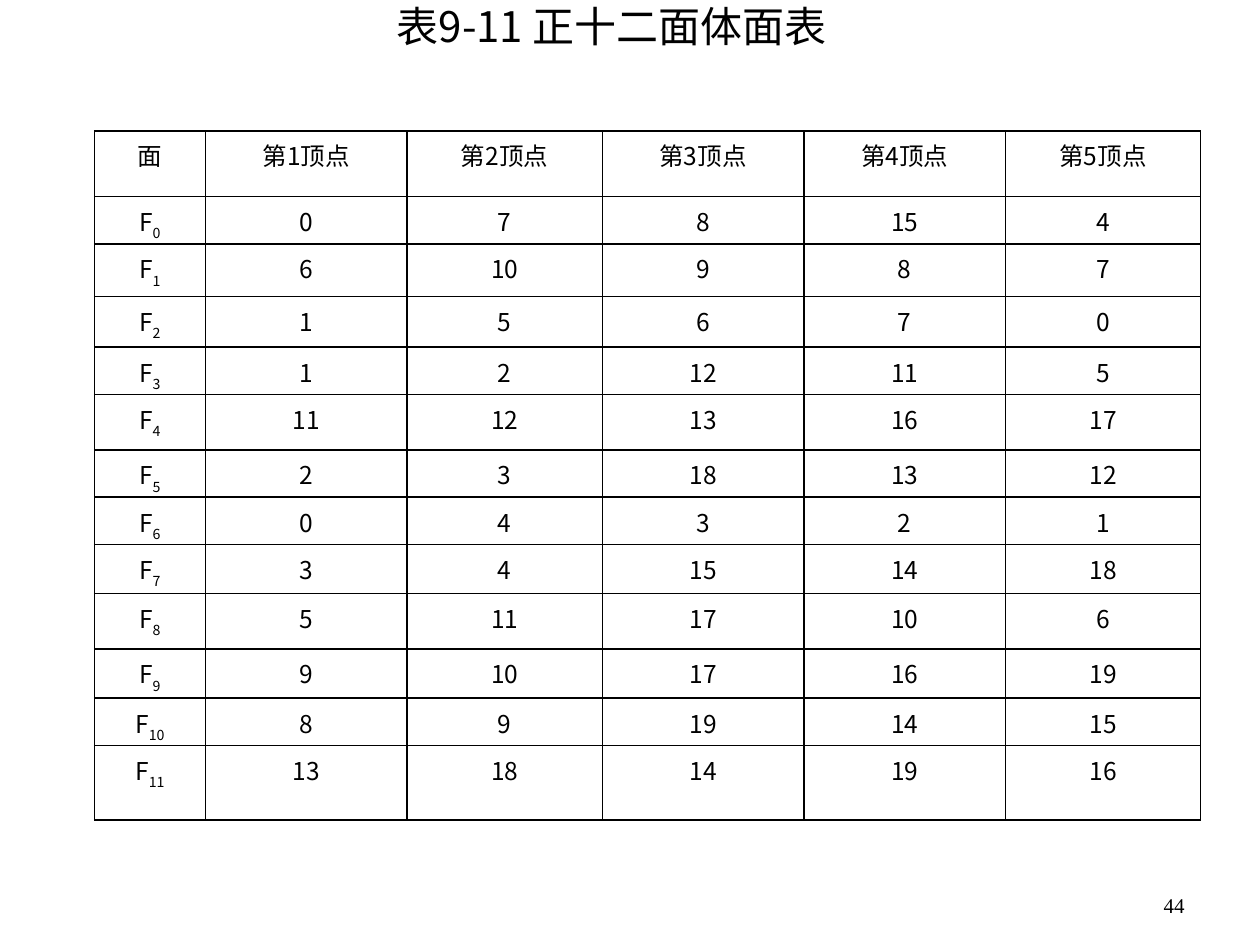
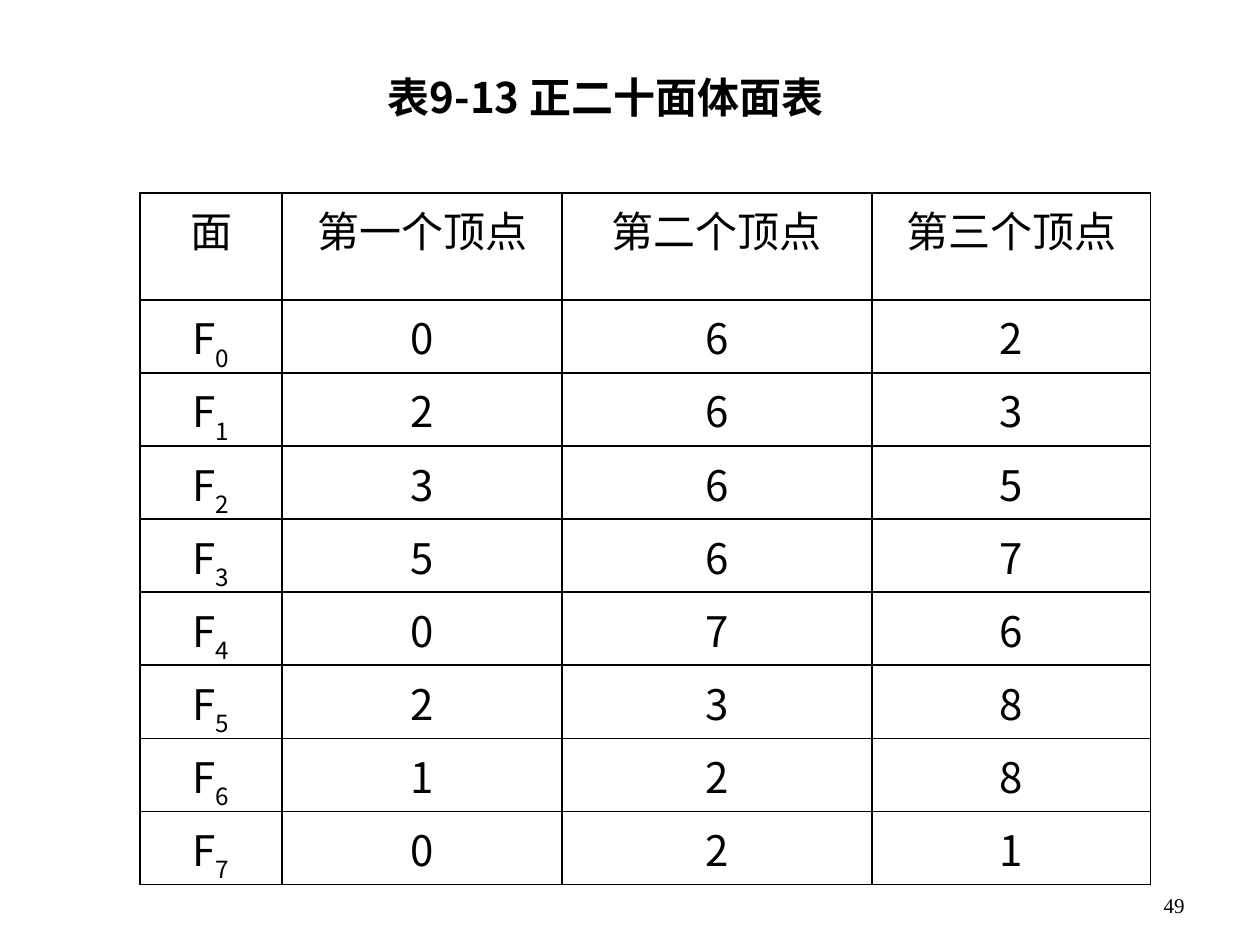
from lxml import etree
from pptx import Presentation
from pptx import util as u
from pptx.dml.color import RGBColor
from pptx.enum import text
from pptx.oxml.ns import qn

SLIDE_WIDTH, SLIDE_HEIGHT = u.Inches(10), u.Inches(7.5)
GRID_COLUMNS, GRID_ROWS = 100, 75
INK = "000000"
SANS, SERIF = "Noto Sans CJK SC", "Times New Roman"
TITLE_SIZE, NUMBER_SIZE = 24, 12
SUBSCRIPT = "-30000"
LEFT, CENTER, RIGHT = text.PP_ALIGN.LEFT, text.PP_ALIGN.CENTER, text.PP_ALIGN.RIGHT

DODECAHEDRON_FACES = [
    (0, 7, 8, 15, 4), (6, 10, 9, 8, 7), (1, 5, 6, 7, 0), (1, 2, 12, 11, 5),
    (11, 12, 13, 16, 17), (2, 3, 18, 13, 12), (0, 4, 3, 2, 1), (3, 4, 15, 14, 18),
    (5, 11, 17, 10, 6), (9, 10, 17, 16, 19), (8, 9, 19, 14, 15), (13, 18, 14, 19, 16),
]
ICOSAHEDRON_FACES = [
    (0, 6, 2), (2, 6, 3), (3, 6, 5), (5, 6, 7),
    (0, 7, 6), (2, 3, 8), (1, 2, 8), (0, 2, 1),
]


def color(value):
    """Turn a hex string into a colour."""
    return RGBColor.from_string(value)


def across(columns):
    """Return the width of a number of grid columns."""
    return u.Emu(round(SLIDE_WIDTH * columns / GRID_COLUMNS))


def down(rows):
    """Return the height of a number of grid rows."""
    return u.Emu(round(SLIDE_HEIGHT * rows / GRID_ROWS))


def place(left, top, width, height):
    """Convert a grid area into slide lengths."""
    return across(left), down(top), across(width), down(height)


def style_paragraph(paragraph, size, align, font_name=SANS, bold=False):
    """Set the alignment and font of a whole paragraph."""
    paragraph.alignment = align
    font = paragraph.font
    font.size, font.bold = u.Pt(size), bold
    font.color.rgb = color(INK)
    font.name = font_name
    defaults = paragraph._p.pPr.find(qn("a:defRPr"))
    etree.SubElement(defaults, qn("a:ea"), typeface=font_name)


def add_label(slide, area, wording, size, align, anchor, wrap=True, **style):
    """Add a one-paragraph text box."""
    frame = slide.shapes.add_textbox(*place(*area)).text_frame
    frame.word_wrap = wrap
    frame.vertical_anchor = anchor
    paragraph = frame.paragraphs[0]
    paragraph.add_run().text = wording
    style_paragraph(paragraph, size, align, **style)


def add_title(slide, area, wording, align, **style):
    """Add the title of a face table."""
    add_label(slide, area, wording, TITLE_SIZE, align, text.MSO_ANCHOR.MIDDLE, **style)


def add_page_number(slide, number):
    """Add the page number at the bottom right."""
    add_label(slide, (71.7, 68.3, 23.3, 5), str(number), NUMBER_SIZE, RIGHT,
              text.MSO_ANCHOR.BOTTOM, font_name=SERIF)


def set_borders(cell, widths):
    """Draw the left, right, top and bottom borders of a cell."""
    properties = cell._tc.get_or_add_tcPr()
    for side, width in zip("LRTB", widths):
        line = etree.SubElement(properties, qn(f"a:ln{side}"), w=str(u.Pt(width)))
        fill = etree.SubElement(line, qn("a:solidFill"))
        etree.SubElement(fill, qn("a:srgbClr"), val=INK)


def fill_cell(cell, wording, subscript, size, margin, borders):
    """Write one centred table cell with an optional subscript."""
    set_borders(cell, borders)
    cell.fill.background()
    cell.margin_left = cell.margin_right = across(margin)
    paragraph = cell.text_frame.paragraphs[0]
    paragraph.add_run().text = str(wording)
    if subscript is not None:
        run = paragraph.add_run()
        run.text = str(subscript)
        run.font._element.set("baseline", SUBSCRIPT)
    style_paragraph(paragraph, size, CENTER)


def add_face_table(slide, left, top, widths, heights, headers, faces, size,
                   margin=1, edge=1):
    """Add a table listing the vertices of each face."""
    area = place(left, top, sum(widths), sum(heights))
    table = slide.shapes.add_table(len(heights), len(widths), *area).table
    table.first_row = table.horz_banding = False
    for column, width in zip(table.columns, widths):
        column.width = across(width)
    for row, height in zip(table.rows, heights):
        row.height = down(height)
    lines = [["面", *headers]] + [["F", *face] for face in faces]
    last = len(widths) - 1
    for row, line in enumerate(lines):
        for column, wording in enumerate(line):
            subscript = row - 1 if row and not column else None
            borders = (edge if column == 0 else 1, edge if column == last else 1, 1, 1)
            fill_cell(table.cell(row, column), wording, subscript, size, margin, borders)


def add_dodecahedron_slide(presentation):
    """Build the dodecahedron face table slide."""
    slide = presentation.slides.add_slide(presentation.slide_layouts[6])
    add_page_number(slide, 44)
    add_title(slide, (29.3, 0, 38.5, 4.1), "表9-11 正十二面体面表", CENTER, wrap=False)
    add_face_table(
        slide, 7.5, 10.4, [8.8, 16, 15.5, 16, 16, 15.5],
        [5.2, 3.2, 4.2, 4, 3.4, 4.4, 3.4, 3.4, 3.9, 4.4, 3.9, 3.4, 5.9],
        [f"第{number}顶点" for number in range(1, 6)], DODECAHEDRON_FACES,
        size=14, margin=0.2, edge=0.75)


def add_icosahedron_slide(presentation):
    """Build the icosahedron face table slide."""
    slide = presentation.slides.add_slide(presentation.slide_layouts[6])
    add_page_number(slide, 49)
    add_title(slide, (29.8, 5.5, 38.7, 4.4), "表9-13 正二十面体面表", LEFT, bold=True)
    add_face_table(
        slide, 11.1, 15.3, [11.3, 22.2, 24.6, 22.1],
        [8.5] + [5.8] * len(ICOSAHEDRON_FACES),
        [f"第{number}个顶点" for number in "一二三"], ICOSAHEDRON_FACES, size=24)


def main():
    """Build and save the presentation."""
    presentation = Presentation()
    presentation.slide_width, presentation.slide_height = SLIDE_WIDTH, SLIDE_HEIGHT
    add_dodecahedron_slide(presentation)
    add_icosahedron_slide(presentation)
    presentation.save("out.pptx")


if __name__ == "__main__":
    main()
